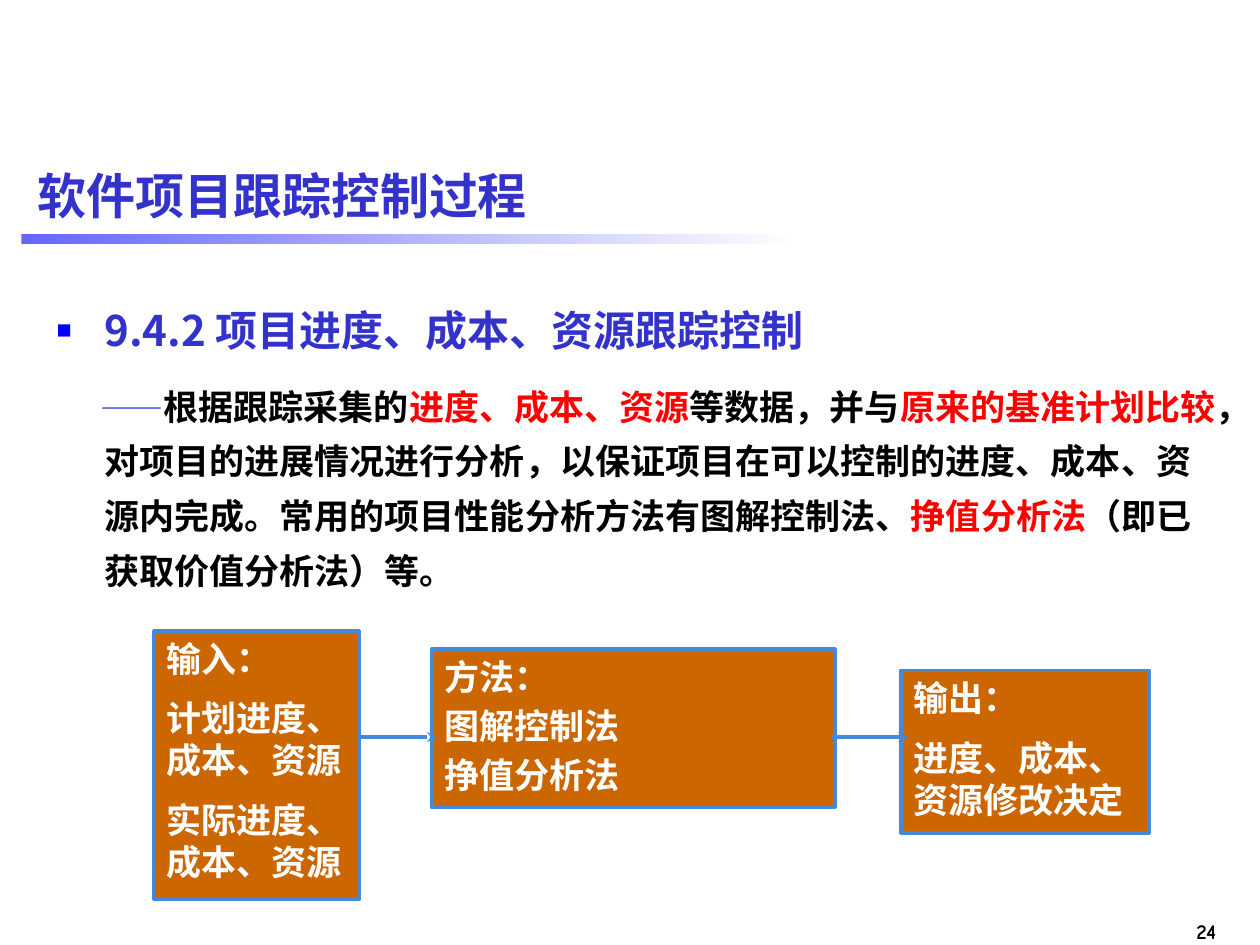
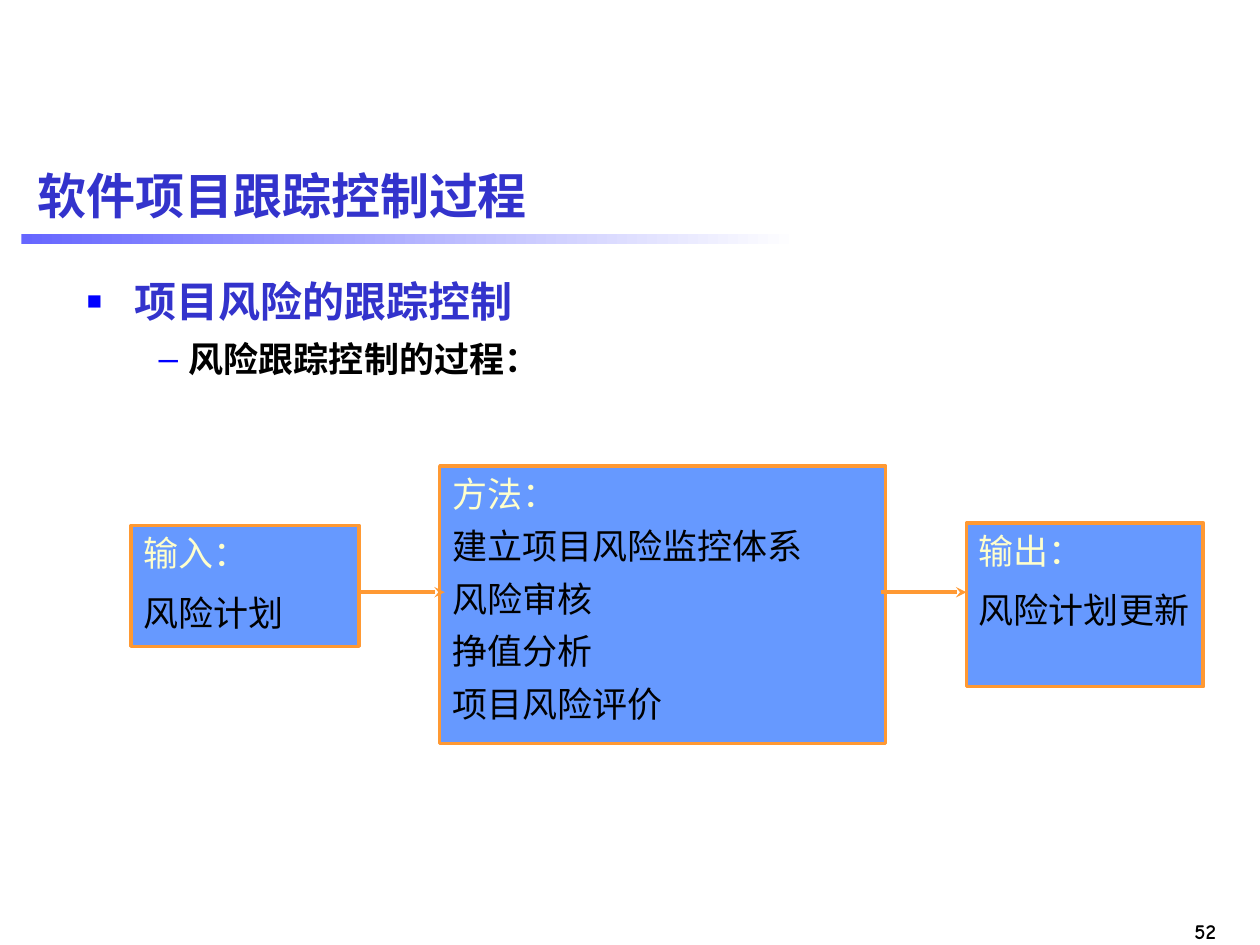
import pptx
import pptx.util
import pptx.dml.color
import pptx.enum.shapes
import pptx.enum.text
import pptx.oxml.ns
from dataclasses import dataclass
from lxml import etree

Inches = pptx.util.Inches
Pt = pptx.util.Pt
qn = pptx.oxml.ns.qn
Align = pptx.enum.text.PP_ALIGN
Anchor = pptx.enum.text.MSO_ANCHOR


@dataclass(frozen=True)
class Theme:
    heading: str = "3333CC"
    body: str = "000000"
    emphasis: str = "FF0000"
    bullet: str = "0000FF"
    band_start: str = "6666FF"
    band_end: str = "FFFFFF"
    title_size: int = 28
    heading_size: int = 24
    body_size: int = 20
    dash_size: int = 18
    number_size: int = 12
    line_width: int = 2
    sans: str = "Arial"
    narrow: str = "Arial Narrow"
    chinese: str = "Noto Sans CJK SC"
    comic: str = "Comic Neue"


THEME = Theme()
TITLE = "软件项目跟踪控制过程"
RED = {"color": THEME.emphasis}

SLIDES = [
    {
        "number": "24",
        "body_at": (0.35, 2.25, 9.45, 5.25),
        "line_spacing": 1.3,
        "body": [
            {"runs": [("9.4.2 项目进度、成本、资源跟踪控制", {})],
             "size": THEME.heading_size, "color": THEME.heading, "font": THEME.chinese,
             "indent": (0.38, -0.38), "bullet": "■", "bullet_size": 60},
            {"runs": [
                ("——", {"size": THEME.dash_size, "color": THEME.heading, "bold": False}),
                ("根据跟踪采集的", {}),
                ("进度、成本、资源", RED),
                ("等数据，并与", {}),
                ("原来的基准计划比较", RED),
                ("，对项目的进展情况进行分析，以保证项目在可以控制的进度、成本、资源内完成。"
                 "常用的项目性能分析方法有图解控制法、", {}),
                ("挣值分析法", RED),
                ("（即已获取价值分析法）等。", {})],
             "indent": (0.38, -0.03), "space": 10},
        ],
        "flow": {
            "fill": "CC6600", "line": "448AD8", "label": "FFFFFF", "item": "FFFFFF", "bold": True,
            "arrow_y": 5.85,
            "arrows": [(2.85, 3.47), (6.6, 7.21)],
            "boxes": [
                ((3.43, 5.15, 3.2, 1.26), 4, ["方法：", "图解控制法", "挣值分析法"]),
                ((1.22, 5.01, 1.63, 2.13), 10, ["输入：", "计划进度、成本、资源", "实际进度、成本、资源"]),
                ((7.15, 5.32, 1.97, 1.29), 10, ["输出：", "进度、成本、资源修改决定"]),
            ],
        },
    },
    {
        "number": "52",
        "body_at": (0.59, 2.1, 9.41, 5.4),
        "line_spacing": 1.1,
        "body": [
            {"runs": [("项目风险的跟踪控制", {})],
             "size": THEME.heading_size, "color": THEME.heading,
             "indent": (0.38, -0.38), "bullet": "■", "bullet_size": 60},
            {"runs": [("风险跟踪控制的过程：", {})], "font": THEME.chinese,
             "indent": (0.81, -0.24), "bullet": "–", "level": 1, "space": 4},
        ],
        "flow": {
            "fill": "6699FF", "line": "FF9933", "label": "FFFFCC", "item": "000000", "bold": False,
            "arrow_y": 4.7,
            "arrows": [(2.85, 3.53), (6.99, 7.67)],
            "boxes": [
                ((3.49, 3.7, 3.54, 2.2), 6,
                 ["方法：", "建立项目风险监控体系", "风险审核", "挣值分析", "项目风险评价"]),
                ((1.04, 4.17, 1.81, 0.96), 10, ["输入：", "风险计划"]),
                ((7.67, 4.15, 1.88, 1.3), 10, ["输出：", "风险计划更新"]),
            ],
        },
    },
]


def rgb(value):
    return pptx.dml.color.RGBColor.from_string(value)


def place(at):
    return [Inches(length) for length in at]


def add_bullet(properties, character, size):
    color = etree.SubElement(properties, qn("a:buClr"))
    etree.SubElement(color, qn("a:srgbClr"), val=THEME.bullet)
    etree.SubElement(properties, qn("a:buSzPct"), val=str(size * 1000))
    etree.SubElement(properties, qn("a:buFont"), typeface=THEME.sans)
    etree.SubElement(properties, qn("a:buChar"), char=character)


def write(frame, runs, *, size=THEME.body_size, color=THEME.body, font=THEME.sans, bold=True,
          align=Align.LEFT, indent=None, bullet=None, bullet_size=100, level=0,
          space=0, line_spacing=None):
    paragraph = frame.paragraphs[0]
    if paragraph.runs:
        paragraph = frame.add_paragraph()
    paragraph.alignment = align
    paragraph.level = level
    paragraph.space_before = Pt(space)
    if line_spacing:
        paragraph.line_spacing = line_spacing
    properties = paragraph._p.get_or_add_pPr()
    if indent:
        for name, length in zip(("marL", "indent"), indent):
            properties.set(name, str(Inches(length)))
    if bullet:
        add_bullet(properties, bullet, bullet_size)
    for text, changes in runs:
        style = {"size": size, "color": color, "bold": bold, **changes}
        run = paragraph.add_run()
        run.text = text
        run.font.name = font
        run.font.size = Pt(style["size"])
        run.font.bold = style["bold"]
        run.font.color.rgb = rgb(style["color"])


def add_text_frame(slide, at, wrap=True, anchor=Anchor.TOP):
    frame = slide.shapes.add_textbox(*place(at)).text_frame
    frame.word_wrap = wrap
    frame.vertical_anchor = anchor
    return frame


def add_rectangle(slide, at):
    shape = slide.shapes.add_shape(pptx.enum.shapes.MSO_SHAPE.RECTANGLE, *place(at))
    shape.shadow.inherit = False
    return shape


def add_frame(slide, number):
    write(add_text_frame(slide, (9.2, 7.24, 0.55, 0.3), wrap=False), [(number, {})],
          size=THEME.number_size, font=THEME.comic, align=Align.RIGHT)
    band = add_rectangle(slide, (0.17, 1.86, 6.17, 0.08))
    band.line.fill.background()
    band.fill.gradient()
    band.fill.gradient_angle = 0
    for stop, color in zip(band.fill.gradient_stops, (THEME.band_start, THEME.band_end)):
        stop.color.rgb = rgb(color)
    write(add_text_frame(slide, (0.2, 1.15, 9.61, 0.79), anchor=Anchor.MIDDLE), [(TITLE, {})],
          size=THEME.title_size, color=THEME.heading)


def add_box(slide, flow, at, space, lines):
    box = add_rectangle(slide, at)
    box.fill.solid()
    box.fill.fore_color.rgb = rgb(flow["fill"])
    box.line.color.rgb = rgb(flow["line"])
    box.line.width = Pt(THEME.line_width)
    frame = box.text_frame
    frame.word_wrap = True
    frame.vertical_anchor = Anchor.TOP
    frame.margin_right = Inches(0.05)
    for index, line in enumerate(lines):
        write(frame, [(line, {})], font=THEME.narrow, bold=flow["bold"],
              color=flow["item" if index else "label"], space=space if index else 0)


def add_arrow(slide, flow, start, end):
    y = flow["arrow_y"]
    arrow = slide.shapes.add_connector(
        pptx.enum.shapes.MSO_CONNECTOR.STRAIGHT, *place((start, y, end, y)))
    arrow.line.color.rgb = rgb(flow["line"])
    arrow.line.width = Pt(THEME.line_width)
    etree.SubElement(arrow.line._get_or_add_ln(), qn("a:tailEnd"), type="stealth")
    etree.SubElement(arrow._element.spPr, qn("a:effectLst"))


def main():
    presentation = pptx.Presentation()
    presentation.slide_width, presentation.slide_height = Inches(10), Inches(7.5)
    for content in SLIDES:
        slide = presentation.slides.add_slide(presentation.slide_layouts[6])
        add_frame(slide, content["number"])
        body = add_text_frame(slide, content["body_at"])
        for paragraph in content["body"]:
            write(body, line_spacing=content["line_spacing"], **paragraph)
        flow = content["flow"]
        for box in flow["boxes"]:
            add_box(slide, flow, *box)
        for arrow in flow["arrows"]:
            add_arrow(slide, flow, *arrow)
    presentation.save("out.pptx")


if __name__ == "__main__":
    main()
